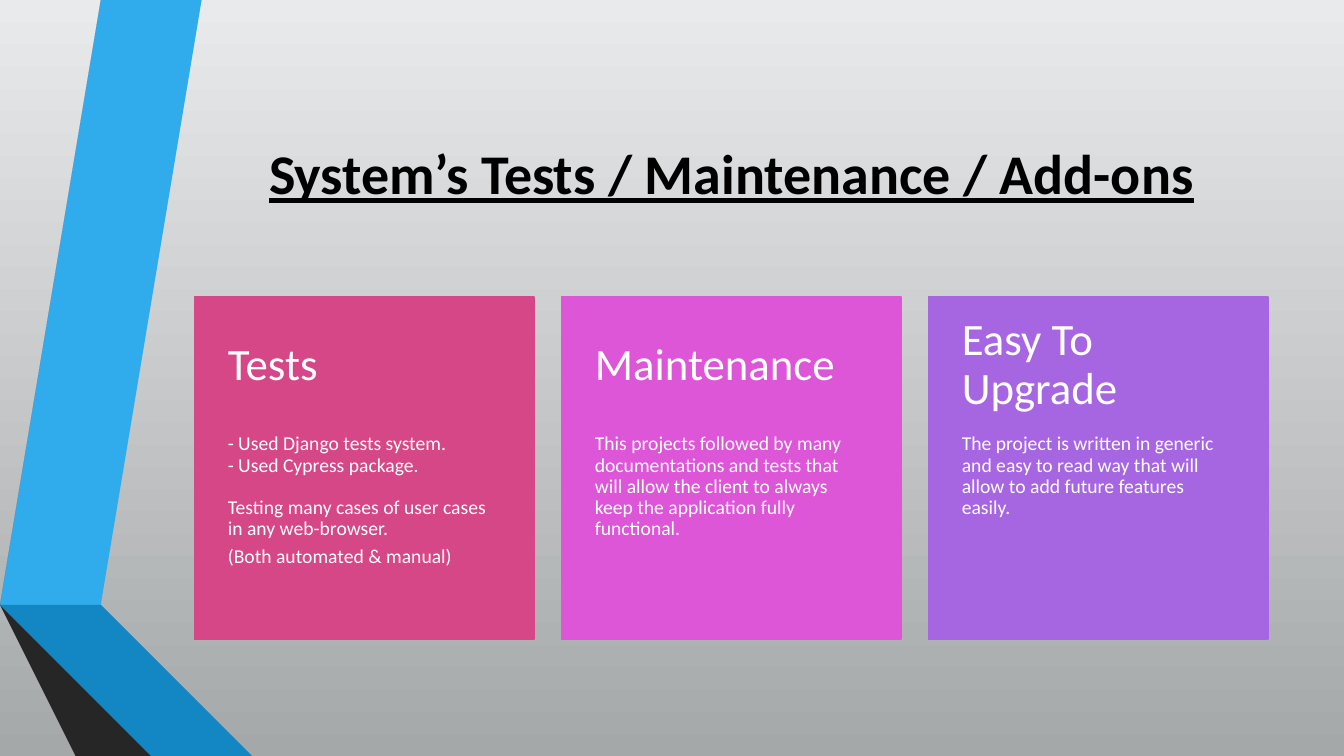
from pptx import Presentation
from pptx.dml.color import RGBColor
from pptx.enum.shapes import MSO_SHAPE
from pptx.enum.text import MSO_ANCHOR, PP_ALIGN
from pptx.util import Inches, Pt

RECTANGLE = MSO_SHAPE.RECTANGLE
TOP, MIDDLE = MSO_ANCHOR.TOP, MSO_ANCHOR.MIDDLE
LEFT, CENTER = PP_ALIGN.LEFT, PP_ALIGN.CENTER

SLIDE_W, SLIDE_H = 13.33, 7.5
COLORS = {
    "sky": "E9EAEB", "ground": "A5A8A9", "black": "000000", "white": "FFFFFF",
    "blue": "30ACEC", "blue fold": "1287C3", "blue edge": "0C5A82",
    "gray": "595959", "gray fold": "404040", "gray edge": "262626",
    "rose": "D64787", "pink": "DC56D7", "violet": "A666E1",
}

# Grid: three card columns, each with a heading row above a body row
GRID_LEFT, GRID_TOP = 1.93, 2.95
CARD_W, CARD_H, COLUMN_STEP = 3.37, 3.39, 3.64
HEADING_H = 0.4 * CARD_H
GRID_W = 2 * COLUMN_STEP + CARD_W

TITLE_FONT = {"name": "Calibri", "size": Pt(40), "bold": True, "underline": True}
HEADING_FONT = {"name": "Calibri", "size": Pt(32)}
BODY_FONT = {"name": "Calibri", "size": Pt(14)}
HEADING_INSETS = (0.33, 0.18, 0.33, 0.18)
BODY_INSETS = (0.33, 0, 0.33, 0.36)

# Ribbon faces, back to front: colour and corner points in inches
RIBBONS = [
    ("blue", [(0.5, 5.78), (0.77, 5.83), (1.73, 0), (1.45, 0)]),
    ("gray", [(1.39, 0), (1.11, 0), (0.16, 5.73), (0.44, 5.77)]),
    ("gray edge", [(0.16, 5.73), (1.45, SLIDE_H), (1.51, SLIDE_H)]),
    ("blue edge", [(0.5, 5.79), (2.08, SLIDE_H), (2.14, SLIDE_H)]),
    ("blue fold", [(0.5, 5.78), (2.14, SLIDE_H), (2.83, SLIDE_H), (0.77, 5.83)]),
    ("gray fold", [(2.02, SLIDE_H), (0.44, 5.77), (0.16, 5.73), (1.51, SLIDE_H)]),
]

# Cards: colour, heading, body paragraphs with their space after in points
CARDS = [
    ("rose", "Tests", [
        ("- Used Django tests system.\v- Used Cypress package.", 15),
        ("Testing many cases of user cases in any web-browser.", 5),
        ("(Both automated & manual)", 5),
    ]),
    ("pink", "Maintenance", [
        ("This projects followed by many documentations and tests that will "
         "allow the client to always keep the application fully functional.", 5),
    ]),
    ("violet", "Easy To \vUpgrade", [
        ("The project is written in generic and easy to read way that will "
         "allow to add future features easily.", 5),
    ]),
]


def rgb(color):
    return RGBColor.from_string(COLORS[color])


def paint_background(slide):
    fill = slide.background.fill
    fill.gradient()
    fill.gradient_angle = 270
    for stop, color in zip(fill.gradient_stops, ("sky", "ground")):
        stop.color.rgb = rgb(color)


def paint(shape, color, line_width=None):
    shape.shadow.inherit = False
    shape.fill.solid()
    shape.fill.fore_color.rgb = rgb(color)
    if line_width is None:
        shape.line.fill.background()
    else:
        shape.line.color.rgb = rgb(color)
        shape.line.width = Pt(line_width)


def add_ribbon(slide, color, corners):
    start, *others = corners
    builder = slide.shapes.build_freeform(*start, scale=Inches(1))
    builder.add_line_segments(others, close=True)
    paint(builder.convert_to_shape(), color)


def add_text(slide, box, paragraphs, font, color, anchor=TOP, align=LEFT,
             insets=(0.1, 0.05, 0.1, 0.05), line_spacing=0.9):
    frame = slide.shapes.add_textbox(*map(Inches, box)).text_frame
    frame.word_wrap = True
    frame.vertical_anchor = anchor
    for side, inset in zip(("left", "top", "right", "bottom"), insets):
        setattr(frame, f"margin_{side}", Inches(inset))
    for index, (text, space_after) in enumerate(paragraphs):
        paragraph = frame.add_paragraph() if index else frame.paragraphs[0]
        paragraph.text = text
        paragraph.alignment = align
        paragraph.line_spacing = line_spacing
        paragraph.space_after = Pt(space_after)
        for run in paragraph.runs:
            for attribute, value in font.items():
                setattr(run.font, attribute, value)
            run.font.color.rgb = rgb(color)


def add_card(slide, column, color, heading, body):
    left = GRID_LEFT + column * COLUMN_STEP
    panel = slide.shapes.add_shape(
        RECTANGLE, *map(Inches, (left, GRID_TOP, CARD_W, CARD_H)))
    paint(panel, color, line_width=1.25)
    add_text(slide, (left, GRID_TOP + HEADING_H, CARD_W, CARD_H - HEADING_H),
             body, BODY_FONT, "white", insets=BODY_INSETS)
    add_text(slide, (left, GRID_TOP, CARD_W, HEADING_H), [(heading, 0)],
             HEADING_FONT, "white", anchor=MIDDLE, insets=HEADING_INSETS)


def main():
    deck = Presentation()
    deck.slide_width, deck.slide_height = Inches(SLIDE_W), Inches(SLIDE_H)
    slide = deck.slides.add_slide(deck.slide_layouts[6])

    # Backdrop
    paint_background(slide)
    for color, corners in RIBBONS:
        add_ribbon(slide, color, corners)

    # Title
    add_text(slide, (GRID_LEFT, 0.1 * SLIDE_H, GRID_W, 1.92),
             [("System’s Tests / Maintenance / Add-ons", 0)],
             TITLE_FONT, "black", anchor=MIDDLE, align=CENTER, line_spacing=1.0)

    # Cards
    for column, card in enumerate(CARDS):
        add_card(slide, column, *card)

    deck.save("out.pptx")


if __name__ == "__main__":
    main()
